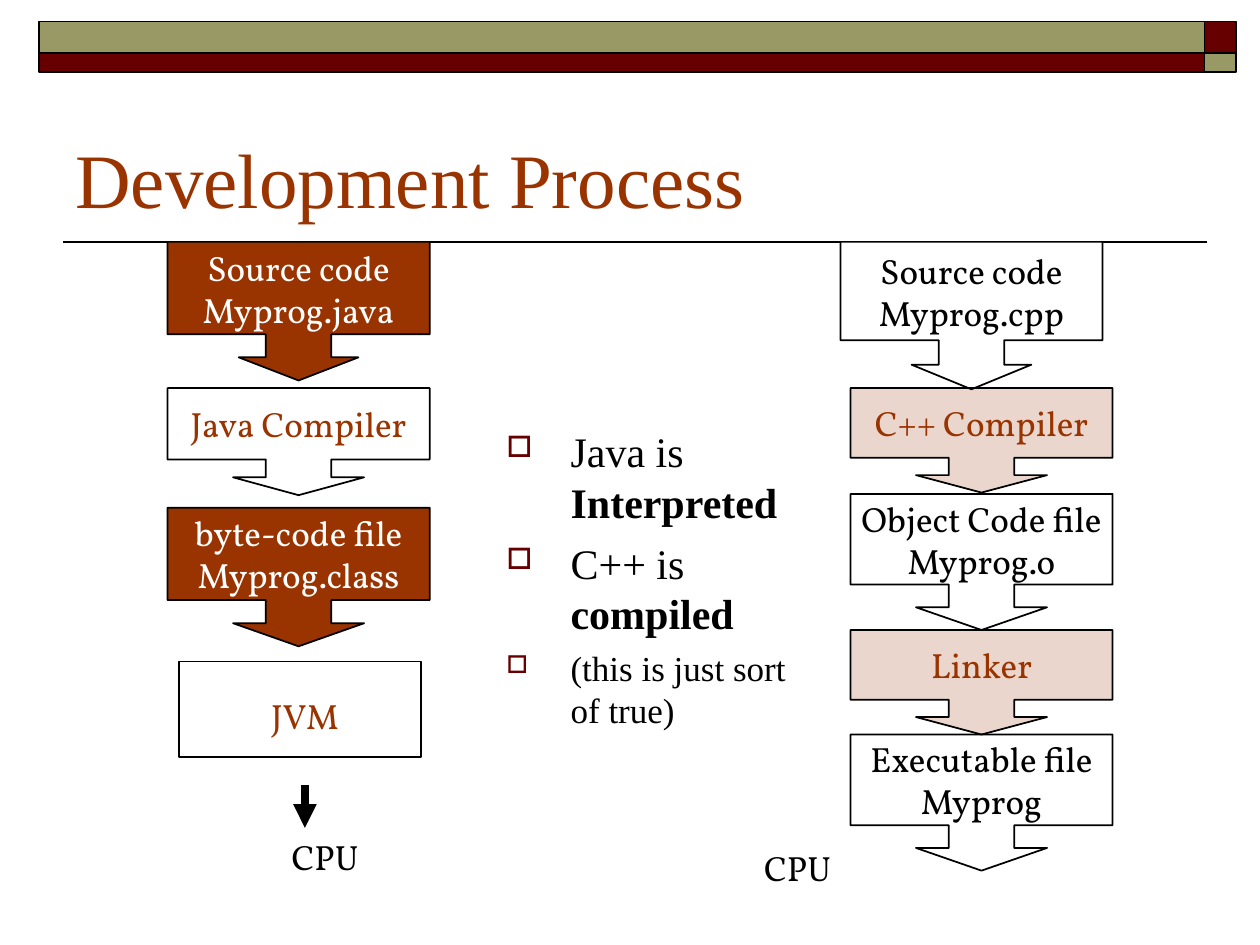
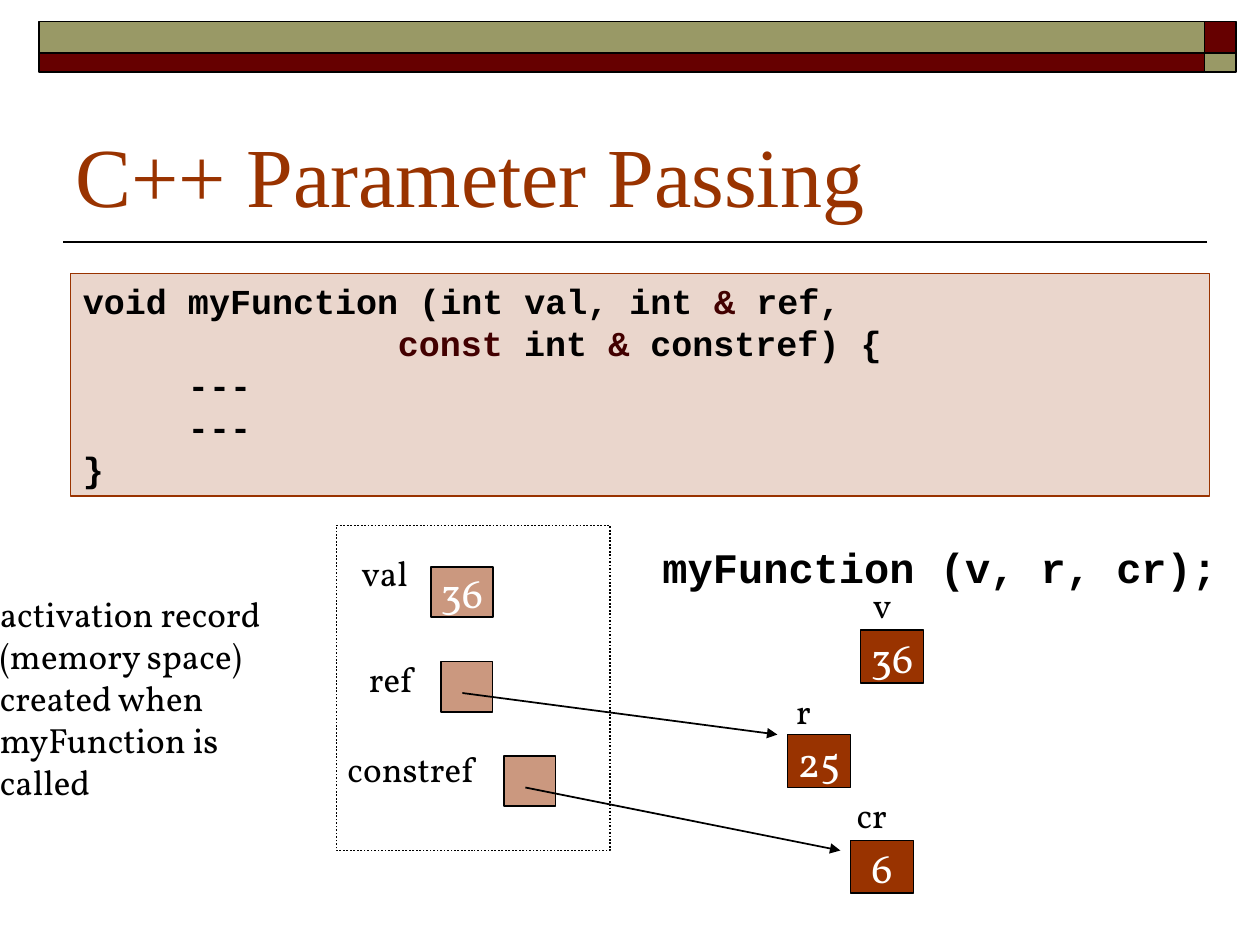
from lxml import etree
from pptx import Presentation
from pptx import util as u
from pptx.dml.color import RGBColor
from pptx.enum import dml, shapes, text
from pptx.oxml import ns

Inches, Pt = u.Inches, u.Pt

# Shared style
COLORS = {"rust": "993300", "maroon": "660000", "olive": "999966",
          "dark": "420000", "black": "000000", "white": "FFFFFF"}
SERIF, LABEL, CODE = "Times New Roman", "Vollkorn", "Courier New"
CENTER, LEFT = text.PP_ALIGN.CENTER, text.PP_ALIGN.LEFT
TITLE_BOX = (0.5, 0.58, 9, 1.25)
BANDS = [((9.56, 0.17, 0.25, 0.25), "maroon"), ((0.31, 0.17, 9.25, 0.25), "olive"),
         ((0.31, 0.42, 9.25, 0.15), "maroon"), ((9.56, 0.42, 0.25, 0.15), "olive")]

# Development process: left, top, height, half width of arrow head,
# fill, opacity, text colour, lines
STEP_WIDTH, SHAFT_WIDTH = 2.08, 0.52
STEPS = [
    (6.67, 1.92, 1.17, 0.475, "white", 100, "black", ["Source code", "Myprog.cpp"]),
    (6.75, 3.92, 1.08, 0.52, "white", 100, "black", ["Object Code file", "Myprog.o"]),
    (6.75, 5.83, 1.08, 0.52, "white", 100, "black", ["Executable file", "Myprog"]),
    (6.75, 3.08, 0.83, 0.52, "rust", 20, "rust", ["C++ Compiler"]),
    (6.75, 5.0, 0.83, 0.52, "rust", 20, "rust", ["Linker"]),
    (1.33, 1.92, 1.1, 0.475, "rust", 100, "white", ["Source code", "Myprog.java"]),
    (1.33, 3.08, 0.85, 0.52, None, 100, "rust", ["Java Compiler"]),
    (1.33, 4.03, 1.1, 0.52, "rust", 100, "white", ["byte-code file", "Myprog.class"]),
]
JVM_BOX = (1.42, 5.25, 1.92, 0.76)
MACHINES = [("CPU", 5.58, 6.67, "black"), ("CPU", 1.83, 6.58, "black"),
            ("JVM", 1.67, 5.46, "rust")]
CPU_ARROW = (2.42, 6.23, 2.42, 6.57)
POINTS_BOX = (3.92, 3.33, 2.42, 2.33)
POINTS = [  # plain part, bold part, size, space before
    ("Java is ", "Interpreted", 24, 0),
    ("C++ is ", "compiled", 24, 6),
    ("(this is just sort of true)", "", 20, 5),
]

# Parameter passing
CODE_BOX = (0.56, 2.17, 9.04, 1.77)
CODE_LINES = [
    [("void myFunction (int val, int ", "black"), ("&", "dark"), (" ref,", "black")],
    [("\t\t\t\t\tconst", "dark"), (" int ", "black"), ("&", "dark"),
     (" constref) {", "black")],
    "     ---",
    "     ---",
    "}",
]
CALL_BOX, CALL = (5.16, 4.25, 4.6, 0.5), "myFunction (v, r, cr);"
RECORD_FRAME = (2.67, 4.17, 2.17, 2.58)
RECORD_NOTE_BOX = (-0.1, 4.65, 3.21, 1.77)
RECORD_NOTE = ["activation record", "(memory space)", "created when",
               "myFunction is", "called"]
CELLS = [  # box, opacity, value
    ((6.83, 5.0, 0.5, 0.42), 100, "36"),
    ((6.25, 5.83, 0.5, 0.42), 100, "25"),
    ((6.75, 6.67, 0.5, 0.42), 100, "6"),
    ((3.42, 4.5, 0.49, 0.4), 50, "36"),
    ((3.5, 5.25, 0.41, 0.4), 50, ""),
    ((4.0, 6.0, 0.41, 0.4), 50, ""),
]
VARIABLES = [  # name, left, top, width
    ("v", 6.83, 4.58, 0.37), ("r", 6.22, 5.42, 0.37), ("cr", 6.7, 6.25, 0.53),
    ("val", 2.77, 4.33, 0.7), ("ref", 2.83, 5.17, 0.7), ("constref", 2.66, 5.88, 1.54),
]
REFERENCES = [(4.17, 6.25, 6.67, 6.75), (3.67, 5.5, 6.17, 5.83)]


def color(name):
    return RGBColor.from_string(COLORS[name])


def add_xml(parent, tag, **attributes):
    return etree.SubElement(parent, ns.qn(tag), attributes)


def write(frame, lines, size, name="black", font=LABEL, align=LEFT, bold=False):
    """Each line is a string or a list of (text, colour) runs."""
    for index, line in enumerate(lines):
        paragraph = frame.paragraphs[0] if index == 0 else frame.add_paragraph()
        paragraph.alignment = align
        paragraph.font.name, paragraph.font.size = font, Pt(size)
        paragraph.font.bold = bold
        if isinstance(line, str):
            paragraph.add_run().text = line
            paragraph.font.color.rgb = color(name)
            continue
        for words, run_color in line:
            run = paragraph.add_run()
            run.text = words
            run.font.color.rgb = color(run_color)


def add_text(slide, box, lines, size, wrap=False, anchor=text.MSO_ANCHOR.TOP,
             grow=True, **style):
    frame = slide.shapes.add_textbox(*map(Inches, box)).text_frame
    frame.word_wrap, frame.vertical_anchor = wrap, anchor
    if grow:
        frame.auto_size = text.MSO_AUTO_SIZE.SHAPE_TO_FIT_TEXT
    write(frame, lines, size, **style)
    return frame


def add_box(slide, box, fill=None, opacity=100, line="black",
            kind=shapes.MSO_SHAPE.RECTANGLE):
    shape = slide.shapes.add_shape(kind, *map(Inches, box))
    shape.shadow.inherit = False
    shape.line.color.rgb, shape.line.width = color(line), Pt(1)
    if fill:
        shape.fill.solid()
        shape.fill.fore_color.rgb = color(fill)
        if opacity < 100:
            fill_color = shape.element.spPr.find(ns.qn("a:solidFill"))[0]
            add_xml(fill_color, "a:alpha", val=str(opacity * 1000))
    else:
        shape.fill.background()
    shape.text_frame.word_wrap = False
    shape.text_frame.vertical_anchor = text.MSO_ANCHOR.MIDDLE
    return shape


def add_line(slide, ends, width=1, arrow=True):
    connector = slide.shapes.add_connector(shapes.MSO_CONNECTOR.STRAIGHT,
                                           *map(Inches, ends))
    connector.line.color.rgb, connector.line.width = color("black"), Pt(width)
    if arrow:
        add_xml(connector.line._get_or_add_ln(), "a:tailEnd", type="triangle")
    add_xml(connector.element.spPr, "a:effectLst")


def start_slide(presentation, title, size):
    slide = presentation.slides.add_slide(presentation.slide_layouts[6])
    add_line(slide, (9.58, 1.92, 0.5, 1.92), arrow=False)
    for box, fill in BANDS:
        add_box(slide, box, fill)
    add_text(slide, TITLE_BOX, [title], size, wrap=True, grow=False,
             anchor=text.MSO_ANCHOR.BOTTOM, name="rust", font=SERIF)
    return slide


def add_points(slide):
    frame = slide.shapes.add_textbox(*map(Inches, POINTS_BOX)).text_frame
    frame.word_wrap = True
    for index, (plain, strong, size, space) in enumerate(POINTS):
        paragraph = frame.paragraphs[0] if index == 0 else frame.add_paragraph()
        properties = paragraph._p.get_or_add_pPr()
        properties.set("marL", str(Inches(0.51)))
        properties.set("indent", str(-Inches(0.51)))
        add_xml(add_xml(properties, "a:buClr"), "a:srgbClr", val=COLORS["maroon"])
        add_xml(properties, "a:buSzPct", val="70000")
        add_xml(properties, "a:buChar", char="□")
        paragraph.space_before = Pt(space)
        paragraph.font.name, paragraph.font.size = SERIF, Pt(size)
        paragraph.font.color.rgb = color("black")
        paragraph.add_run().text = plain
        if strong:
            run = paragraph.add_run()
            run.text, run.font.bold = strong, True


def build_process(presentation):
    slide = start_slide(presentation, "Development Process", 44)
    add_points(slide)
    # Steps of both tool chains
    for left, top, height, head, fill, opacity, ink, lines in STEPS:
        step = add_box(slide, (left, top, STEP_WIDTH, height), fill, opacity,
                       kind=shapes.MSO_SHAPE.DOWN_ARROW_CALLOUT)
        proportions = (SHAFT_WIDTH / height, head / height, 1 / 6, 2 / 3)
        for index, proportion in enumerate(proportions):
            step.adjustments[index] = proportion
        write(step.text_frame, lines, 20, ink, align=CENTER)
    # Where the programs run
    add_box(slide, JVM_BOX)
    for machine, left, top, ink in MACHINES:
        add_text(slide, (left, top, 1.5, 0.44), [machine], 20, wrap=True,
                 name=ink, align=CENTER)
    add_line(slide, CPU_ARROW, 4.5)


def build_parameters(presentation):
    slide = start_slide(presentation, "C++ Parameter Passing", 48)
    # Function and its call
    code = add_box(slide, CODE_BOX, "rust", 20, "rust").text_frame
    code.vertical_anchor = text.MSO_ANCHOR.TOP
    code.auto_size = text.MSO_AUTO_SIZE.SHAPE_TO_FIT_TEXT
    write(code, CODE_LINES, 20, font=CODE, bold=True)
    add_text(slide, CALL_BOX, [CALL], 24, font=CODE, bold=True)
    # Activation record and memory cells
    frame = add_box(slide, RECORD_FRAME)
    frame.line.dash_style = dml.MSO_LINE.ROUND_DOT
    add_text(slide, RECORD_NOTE_BOX, RECORD_NOTE, 20)
    for box, opacity, value in CELLS:
        cell = add_box(slide, box, "rust", opacity)
        if value:
            write(cell.text_frame, [value], 24, "white", align=CENTER)
    for variable, left, top, width in VARIABLES:
        add_text(slide, (left, top, width, 0.44), [variable], 20)
    for ends in REFERENCES:
        add_line(slide, ends)


def main():
    presentation = Presentation()
    presentation.slide_width, presentation.slide_height = Inches(10), Inches(7.5)
    build_process(presentation)
    build_parameters(presentation)
    presentation.save("out.pptx")


if __name__ == "__main__":
    main()
